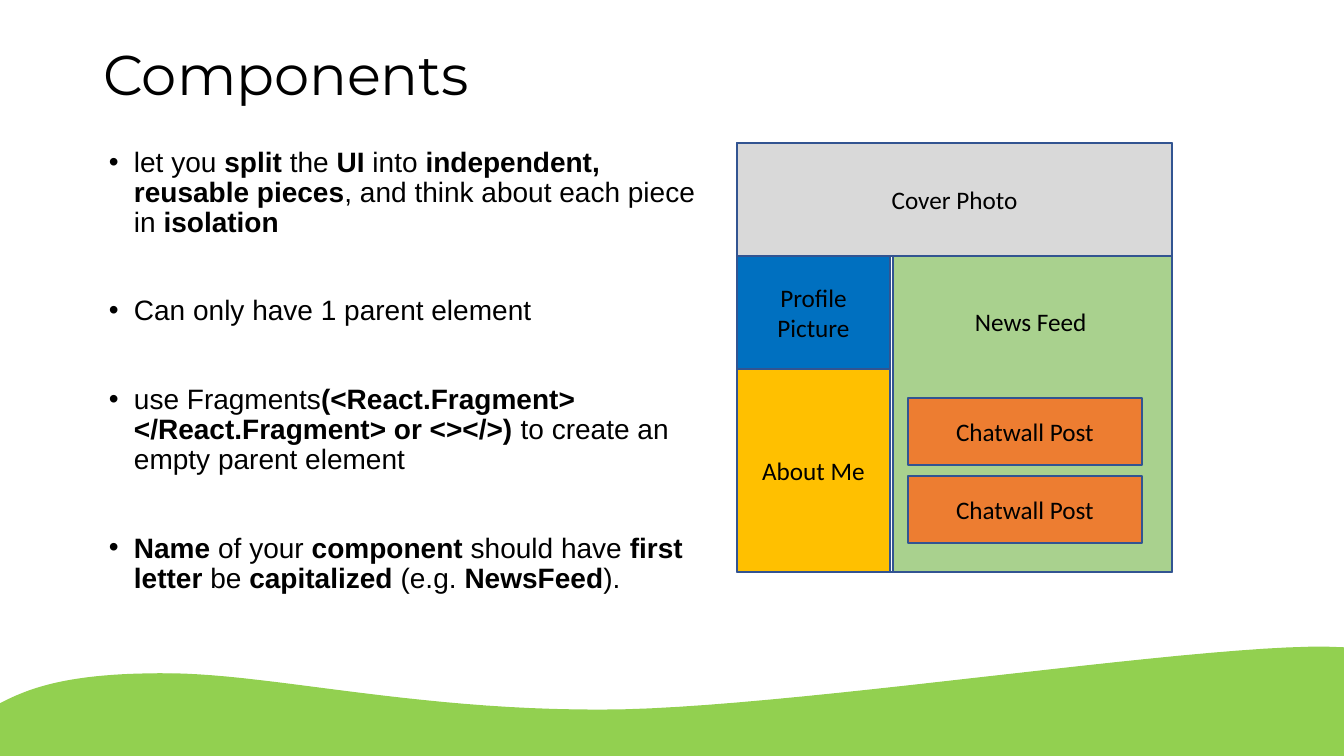
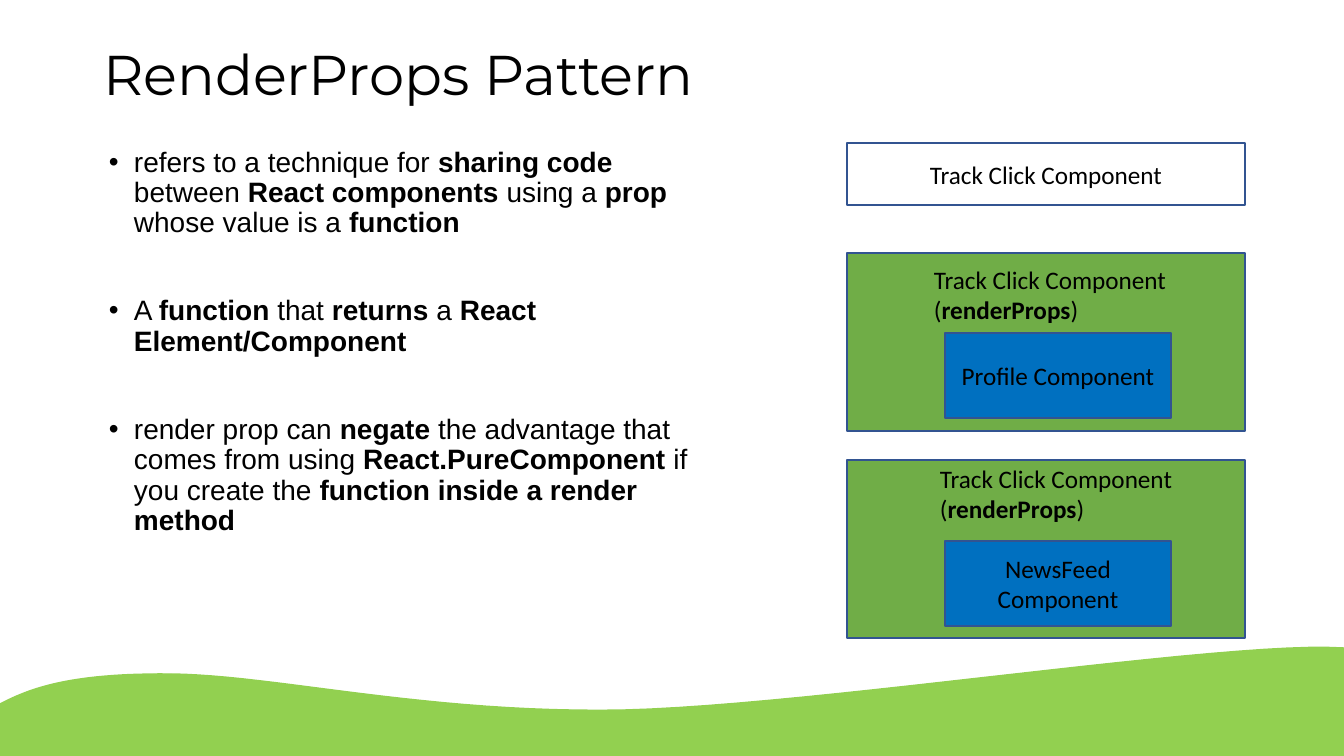
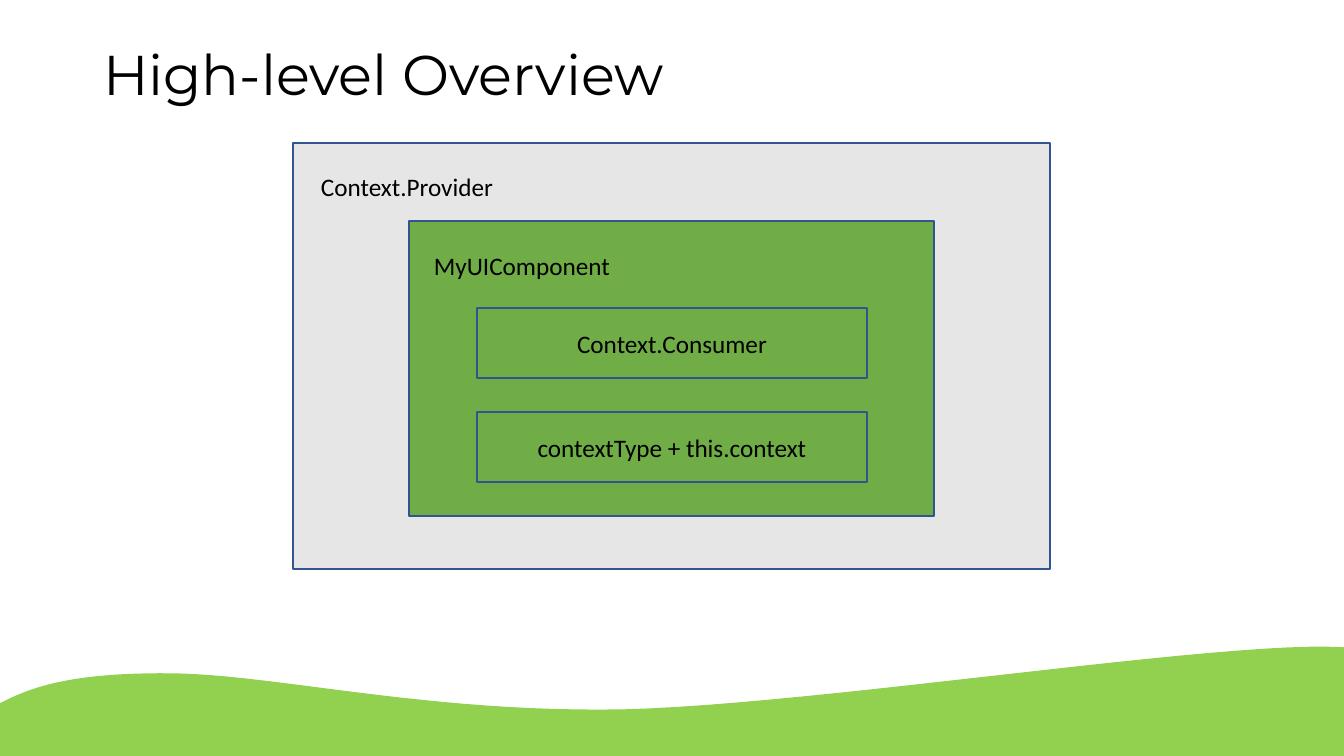
from dataclasses import dataclass
from typing import Optional

from lxml import etree
from pptx import Presentation
from pptx import util as u
from pptx.dml.color import RGBColor
from pptx.enum import shapes, text
from pptx.oxml import ns

# Shared measures and style
SCALE = 914400 / 100.8  # EMU per pixel
WIDTH, HEIGHT = 1344, 756
TOP = 143
COLORS = {
    "ink": "000000", "outline": "325491", "wave": "92D050", "silver": "D9D9D9",
    "mist": "E7E6E6", "blue": "0070C0", "amber": "FFC000", "mint": "A9D18E",
    "orange": "ED7D31", "green": "70AD47",
}
WAVE_START = (0, 704)
WAVE_CURVES = [
    ((29, 689), (68, 673), (171, 674)),
    ((275, 675), (429, 714), (625, 710)),
    ((821, 705), (1226, 640), (WIDTH, 648)),
]
CURVE_STEPS = 24


@dataclass
class Panel:
    left: int
    top: int
    width: int
    height: int
    fill: Optional[str] = None
    caption: str = ""


@dataclass
class Label:
    left: int
    top: int
    width: int
    height: int
    caption: str
    wrap: bool = False


@dataclass
class Page:
    title: str
    bullets: list[str]
    panels: list[Panel]
    labels: list[Label]


def px(length: float) -> u.Emu:
    return u.Emu(round(length * SCALE))


def color(name: str) -> RGBColor:
    return RGBColor.from_string(COLORS[name])


def place(box, left: int, top: int, width: int, height: int) -> None:
    box.left, box.top, box.width, box.height = map(px, (left, top, width, height))


def write(frame, paragraphs: list[str], *, font: str = "Calibri", size: int = 18,
          align=text.PP_ALIGN.LEFT, anchor=text.MSO_ANCHOR.TOP, wrap: bool = True,
          spacing: float = 1.0, after: float = 0, bullet: bool = False) -> None:
    """Fill a text frame; parts between double asterisks are bold."""
    frame.word_wrap = wrap
    frame.auto_size = text.MSO_AUTO_SIZE.NONE
    frame.vertical_anchor = anchor
    for index, line in enumerate(paragraphs):
        para = frame.add_paragraph() if index else frame.paragraphs[0]
        para.alignment = align
        para.line_spacing = spacing
        para.space_after = u.Pt(after)
        if bullet:
            props = para._p.get_or_add_pPr()
            props.set("marL", str(px(25)))
            props.set("indent", str(-px(25)))
            etree.SubElement(props, ns.qn("a:buFont")).set("typeface", "Arial")
            etree.SubElement(props, ns.qn("a:buChar")).set("char", "•")
        for part, words in enumerate(line.split("**")):
            if words:
                span = para.add_run()
                span.text = words
                span.font.name = font
                span.font.size = u.Pt(size)
                span.font.bold = part % 2 == 1
                span.font.color.rgb = color("ink")


def paint(shape, fill: Optional[str], line: str) -> None:
    shape.shadow.inherit = False
    if fill:
        shape.fill.solid()
        shape.fill.fore_color.rgb = color(fill)
    else:
        shape.fill.background()
    shape.line.color.rgb = color(line)
    shape.line.width = u.Pt(1)


def wave_points() -> list[tuple[int, int]]:
    points, start = [], WAVE_START
    for first, second, end in WAVE_CURVES:
        for step in range(1, CURVE_STEPS + 1):
            t = step / CURVE_STEPS
            weights = ((1 - t) ** 3, 3 * t * (1 - t) ** 2, 3 * t ** 2 * (1 - t), t ** 3)
            knots = (start, first, second, end)
            points.append(tuple(px(sum(w * k[axis] for w, k in zip(weights, knots)))
                                for axis in (0, 1)))
        start = end
    return points + [(px(WIDTH), px(HEIGHT)), (0, px(HEIGHT))]


def draw_wave(slide) -> None:
    builder = slide.shapes.build_freeform(*map(px, WAVE_START))
    builder.add_line_segments(wave_points(), close=True)
    paint(builder.convert_to_shape(), "wave", "wave")


def draw_panel(slide, panel: Panel) -> None:
    box = slide.shapes.add_shape(
        shapes.MSO_SHAPE.RECTANGLE,
        *map(px, (panel.left, panel.top, panel.width, panel.height)))
    paint(box, panel.fill, "outline")
    if panel.caption:
        write(box.text_frame, [panel.caption], align=text.PP_ALIGN.CENTER,
              anchor=text.MSO_ANCHOR.MIDDLE)


def draw_label(slide, label: Label) -> None:
    box = slide.shapes.add_textbox(
        *map(px, (label.left, label.top, label.width, label.height)))
    write(box.text_frame, [label.caption], wrap=label.wrap)


def draw_page(deck, page: Page) -> None:
    slide = deck.slides.add_slide(deck.slide_layouts[5])
    draw_wave(slide)
    title = slide.shapes.title
    place(title, 93, 25, 1092, 104)
    write(title.text_frame, [page.title], font="Montserrat", size=40,
          anchor=text.MSO_ANCHOR.MIDDLE, spacing=0.9)
    if page.bullets:
        body = slide.shapes.add_textbox(*map(px, (99, TOP, 608, 470)))
        write(body.text_frame, page.bullets, font="Arial", size=20,
              spacing=0.9, after=41.5, bullet=True)
    for panel in page.panels:
        draw_panel(slide, panel)
    for label in page.labels:
        draw_label(slide, label)


# Components: a profile page split into parts
components = Page(
    "Components",
    [
        "let you **split** the **UI** into **independent, reusable pieces**, "
        "and think about each piece in **isolation**",
        "Can only have 1 parent element",
        "use Fragments**(<React.Fragment> </React.Fragment> or <></>) **"
        "to create an empty parent element",
        "**Name** of your **component** should have **first letter **be "
        "**capitalized** (e.g. **NewsFeed**).",
    ],
    [
        Panel(737, TOP, 435, 429),
        Panel(737, TOP, 435, 113, "silver", "Cover Photo"),
        Panel(737, 256, 153, 113, "blue", "Profile Picture"),
        Panel(737, 369, 153, 203, "amber", "About Me"),
        Panel(893, 256, 279, 316, "mint"),
        *(Panel(908, 398 + 78 * row, 234, 67, "orange", "Chatwall Post")
          for row in range(2)),
    ],
    [Label(965, 301, 133, 40, "News Feed")],
)

# Render props: one tracker, wrapped around two components
TRACKER = "Track Click Component"
render_props = Page(
    "RenderProps Pattern",
    [
        "refers to a technique for **sharing code **between **React components **"
        "using a **prop** whose value is a **function**",
        "A **function** that **returns** a **React Element/Component**",
        "render prop can **negate** the advantage that comes from using "
        "**React.PureComponent **if you create the **function inside a render method**",
    ],
    [
        Panel(847, TOP, 398, 62, caption=TRACKER),
        *(Panel(847, top, 398, 178, "green") for top in (253, 460)),
        Panel(945, 333, 226, 85, "blue", "Profile Component"),
        Panel(945, 541, 226, 85, "blue", "NewsFeed Component"),
    ],
    [Label(left, top, 282, 72, f"{TRACKER} (**renderProps**)", wrap=True)
     for left, top in ((924, 259), (930, 458))],
)

# Overview: nested context parts
overview = Page(
    "High-level Overview",
    [],
    [
        Panel(293, TOP, 757, 426, "mist"),
        Panel(409, 221, 525, 295, "green"),
        *(Panel(477, 308 + 104 * row, 390, 70, caption=caption)
          for row, caption in enumerate(("Context.Consumer", "contextType + this.context"))),
    ],
    [
        Label(311, 166, 195, 40, "Context.Provider"),
        Label(424, 245, 199, 40, "MyUIComponent"),
    ],
)

# Build the deck
deck = Presentation()
deck.slide_width, deck.slide_height = px(WIDTH), px(HEIGHT)
for page in (components, render_props, overview):
    draw_page(deck, page)
deck.save("out.pptx")
